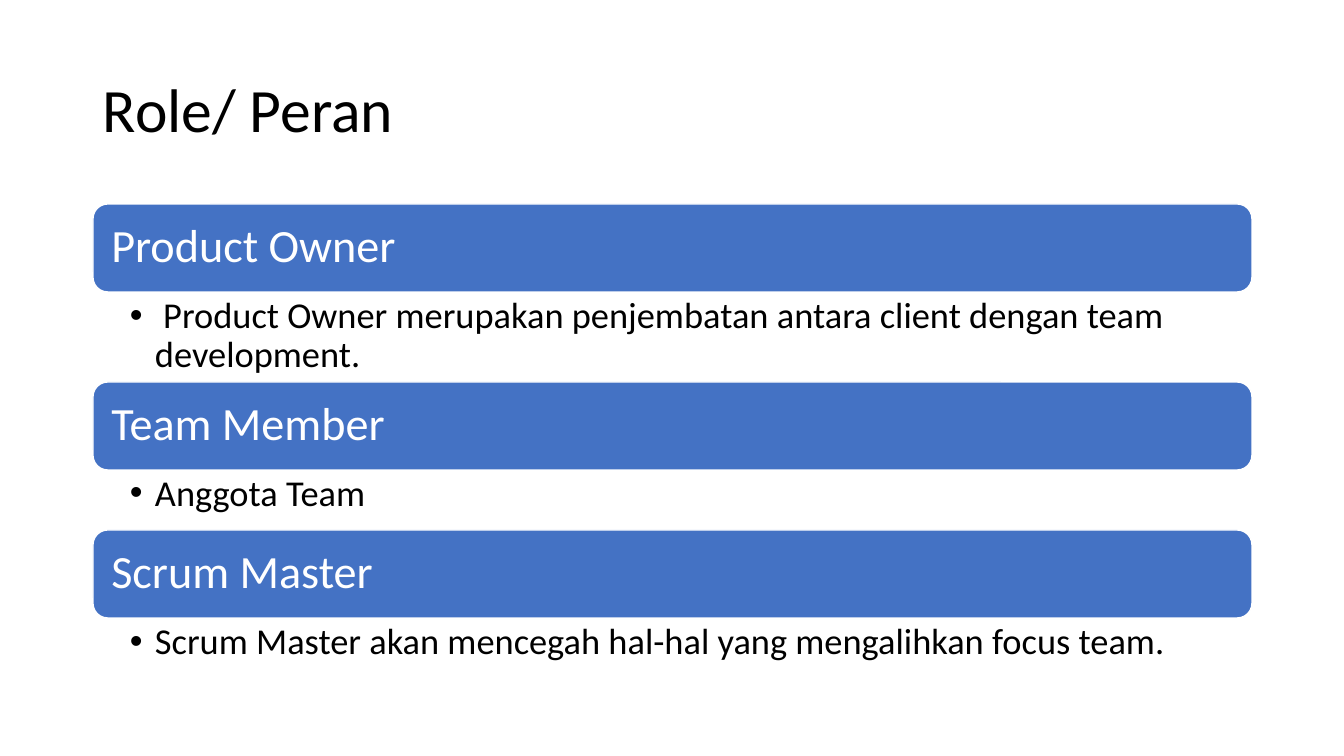
"""Build the slide on Scrum roles."""
from lxml import etree
from pptx import Presentation
from pptx import util as u
from pptx.dml.color import RGBColor
from pptx.enum import shapes, text
from pptx.oxml.ns import qn

SCALE = 914400 / 100.8
FONT = "Calibri"
BLUE = RGBColor(0x44, 0x72, 0xC4)
WHITE = RGBColor(0xFF, 0xFF, 0xFF)
BLACK = RGBColor(0x00, 0x00, 0x00)
BAR_HEIGHT = 88
ROLES = [
    ("Product Owner", " Product Owner merupakan penjembatan antara client dengan team development.", 90),
    ("Team Member", "Anggota Team", 60),
    ("Scrum Master", "Scrum Master akan mencegah hal-hal yang mengalihkan focus team.", 60),
]


def px(pixels):
    """Turn pixels into EMU."""
    return u.Emu(round(pixels * SCALE))


def write(target, words, size, color=BLACK, insets=(10, 5, 10, 5),
          anchor=text.MSO_ANCHOR.MIDDLE, bullet_indent=0):
    """Set the words of a shape and their format."""
    frame = target.text_frame
    frame.word_wrap = True
    frame.auto_size = text.MSO_AUTO_SIZE.NONE
    frame.vertical_anchor = anchor
    (frame.margin_left, frame.margin_top,
     frame.margin_right, frame.margin_bottom) = map(px, insets)
    line = frame.paragraphs[0]
    line.alignment = text.PP_ALIGN.LEFT
    line.line_spacing = 0.9
    run = line.add_run()
    run.text = words
    run.font.name = FONT
    run.font.size = u.Pt(size)
    run.font.color.rgb = color
    if bullet_indent:
        line.level = 1
        properties = line._p.get_or_add_pPr()
        properties.set("marL", str(px(bullet_indent)))
        properties.set("indent", str(-px(bullet_indent)))
        etree.SubElement(properties, qn("a:buFont")).set("typeface", "Arial")
        etree.SubElement(properties, qn("a:buChar")).set("char", "•")


def place_title(slide, left, top, width, height):
    """Move the title placeholder into its box and fill it."""
    title = slide.shapes.title
    title.left, title.top, title.width, title.height = map(px, (left, top, width, height))
    write(title, "Role/ Peran", 44)


def add_role(slide, left, top, width, height, role, duty):
    """Draw a role bar with its duty below, within the given box."""
    bar = slide.shapes.add_shape(shapes.MSO_SHAPE.ROUNDED_RECTANGLE,
                                 *map(px, (left, top, width, BAR_HEIGHT)))
    bar.shadow.inherit = False
    bar.fill.solid()
    bar.fill.fore_color.rgb = BLUE
    bar.line.color.rgb = WHITE
    bar.line.width = u.Pt(1)
    write(bar, role, 33, color=WHITE, insets=(14, 14, 14, 14))
    duty_box = slide.shapes.add_textbox(
        *map(px, (left, top + BAR_HEIGHT, width, height - BAR_HEIGHT)))
    write(duty_box, duty, 26, insets=(37, 5, 26, 5),
          anchor=text.MSO_ANCHOR.TOP, bullet_indent=25)


def add_roles(slide, left, top, width):
    """Stack the roles from the top of the region."""
    for role, duty, duty_height in ROLES:
        height = BAR_HEIGHT + duty_height
        add_role(slide, left, top, width, height, role, duty)
        top += height


def main():
    """Create and save the presentation."""
    deck = Presentation()
    deck.slide_width, deck.slide_height = px(1344), px(756)
    slide = deck.slides.add_slide(deck.slide_layouts.get_by_name("Title Only"))
    place_title(slide, 93, 40, 1159, 146)
    add_roles(slide, 93, 204, 1159)
    deck.save("out.pptx")


main()
